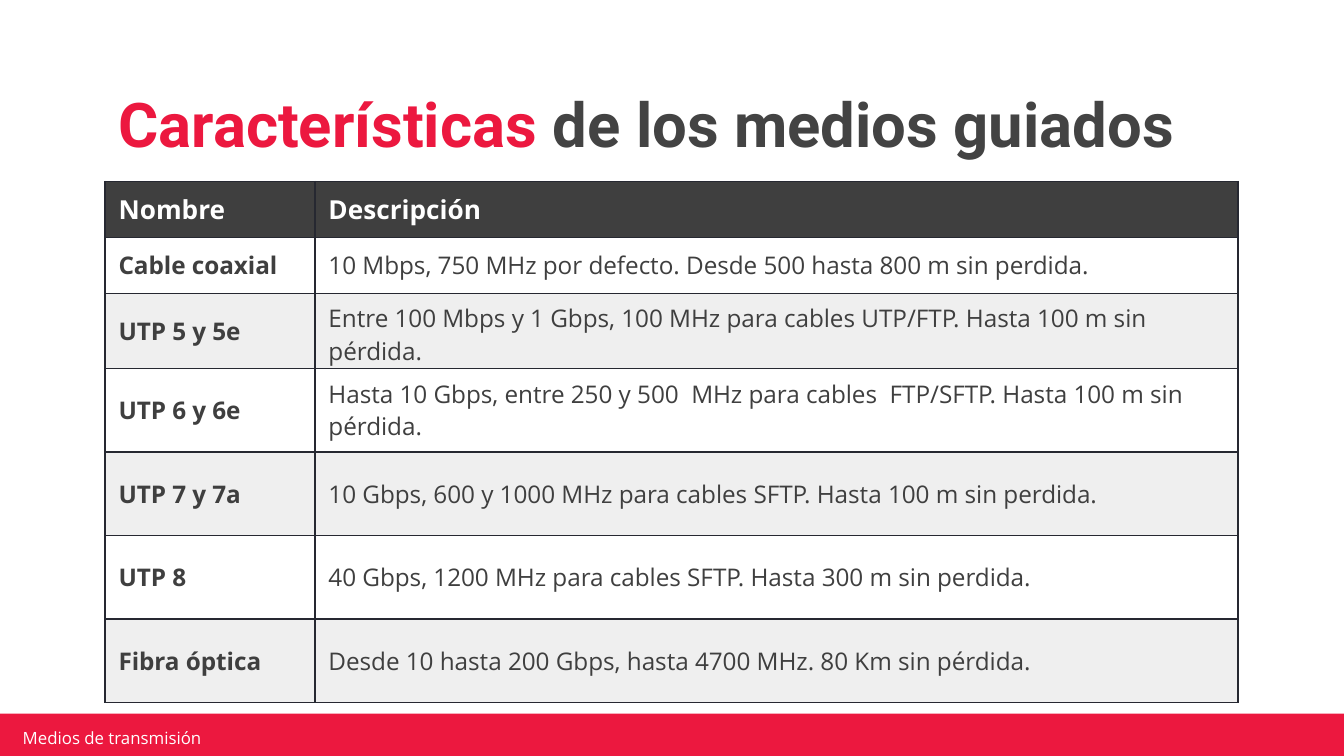
"""Builds the slide on the characteristics of guided transmission media."""
from lxml import etree
from pptx import Presentation
from pptx import util as u
from pptx.dml.color import RGBColor
from pptx.enum import shapes, text
from pptx.oxml import ns

Pt = u.Pt
COLORS = {"red": "EC183F", "title": "434343", "dark": "3F3F3F",
          "band": "EFEFEF", "white": "FFFFFF", "border": "262831"}
ROWS = [
    ("Nombre", "Descripción"),
    ("Cable coaxial", "10 Mbps, 750 MHz por defecto. Desde 500 hasta 800 m sin perdida."),
    ("UTP 5 y 5e", "Entre 100 Mbps y 1 Gbps, 100 MHz para cables UTP/FTP. Hasta 100 m sin pérdida."),
    ("UTP 6 y 6e", "Hasta 10 Gbps, entre 250 y 500  MHz para cables  FTP/SFTP. Hasta 100 m sin pérdida."),
    ("UTP 7 y 7a", "10 Gbps, 600 y 1000 MHz para cables SFTP. Hasta 100 m sin perdida."),
    ("UTP 8", "40 Gbps, 1200 MHz para cables SFTP. Hasta 300 m sin perdida."),
    ("Fibra óptica", "Desde 10 hasta 200 Gbps, hasta 4700 MHz. 80 Km sin pérdida."),
]
COL_WIDTHS = (112.5, 494.5)
ROW_HEIGHTS = [30] * 3 + [44.75] * 4


def rgb(name):
    return RGBColor.from_string(COLORS[name])


def style_run(r, size, color, font="Open Sans", bold=False):
    r.font.name = font
    r.font.size = Pt(size)
    r.font.bold = bold
    r.font.color.rgb = rgb(color)


def set_margins(target, x, y):
    target.margin_left = target.margin_right = Pt(x)
    target.margin_top = target.margin_bottom = Pt(y)


def add_text(s, box, runs, anchor, margins):
    sp = s.shapes.add_textbox(*map(Pt, box))
    tf = sp.text_frame
    tf.word_wrap = True
    tf.vertical_anchor = anchor
    set_margins(tf, *margins)
    for content, style in runs:
        r = tf.paragraphs[0].add_run()
        r.text = content
        style_run(r, **style)


def add_footer_bar(s):
    sp = s.shapes.add_shape(shapes.MSO_SHAPE.RECTANGLE, Pt(-1.5), Pt(382.3), Pt(722.5), Pt(26))
    sp.shadow.inherit = False
    sp.fill.solid()
    sp.fill.fore_color.rgb = rgb("red")
    sp.line.fill.background()


def add_borders(cell):
    tc_pr = cell._tc.get_or_add_tcPr()
    for i, side in enumerate(("lnL", "lnR", "lnT", "lnB")):
        ln = etree.Element(ns.qn("a:" + side), w=str(Pt(0.75)))
        fill = etree.SubElement(ln, ns.qn("a:solidFill"))
        etree.SubElement(fill, ns.qn("a:srgbClr"), val=COLORS["border"])
        tc_pr.insert(i, ln)


def fill_cell(cell, content, row, col):
    header = row == 0
    cell.text = content
    cell.vertical_anchor = text.MSO_ANCHOR.MIDDLE
    set_margins(cell, 7.2, 4.5)
    style_run(cell.text_frame.paragraphs[0].runs[0], 14 if header else 13,
              "white" if header else "dark", bold=header or col == 0)
    cell.fill.solid()
    cell.fill.fore_color.rgb = rgb("dark" if header else "white" if row % 2 else "band")
    add_borders(cell)


def add_media_table(s):
    frame = s.shapes.add_table(len(ROWS), len(COL_WIDTHS), Pt(56.3), Pt(97.2),
                               Pt(sum(COL_WIDTHS)), Pt(sum(ROW_HEIGHTS)))
    table = frame.table
    for column, width in zip(table.columns, COL_WIDTHS):
        column.width = Pt(width)
    for i, (row, height) in enumerate(zip(table.rows, ROW_HEIGHTS)):
        row.height = Pt(height)
        for j, cell in enumerate(row.cells):
            fill_cell(cell, ROWS[i][j], i, j)


def main():
    prs = Presentation()
    prs.slide_width, prs.slide_height = Pt(720), Pt(405)
    s = prs.slides.add_slide(prs.slide_layouts[6])
    add_footer_bar(s)
    add_text(s, (8.6, 390, 172, 11), [("Medios de transmisión", dict(size=9, color="white"))],
             text.MSO_ANCHOR.MIDDLE, (3.6, 1.4))
    title = dict(size=33, font="Roboto", bold=True)
    add_text(s, (56.3, 43.2, 607, 49.7),
             [("Características ", dict(title, color="red")),
              ("de los medios guiados", dict(title, color="title"))],
             text.MSO_ANCHOR.BOTTOM, (7.2, 7.2))
    add_media_table(s)
    prs.save("out.pptx")


main()
